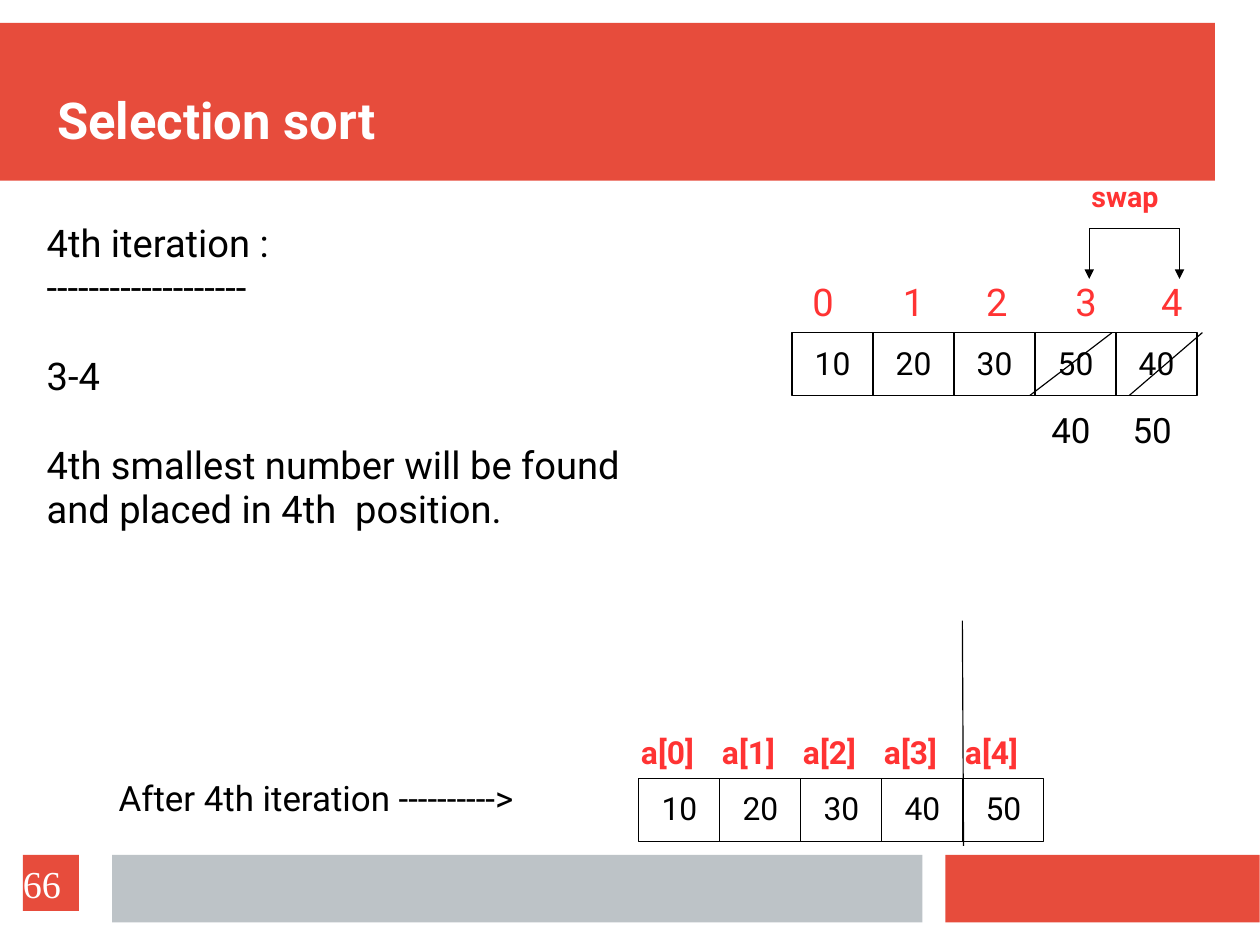
from pptx import Presentation
from pptx.dml.color import RGBColor
from pptx.enum.shapes import MSO_CONNECTOR as CONN, MSO_SHAPE as SHAPE
from pptx.enum.text import MSO_ANCHOR as ANCHOR, PP_ALIGN as ALIGN
from pptx.oxml.ns import qn
from pptx.util import Inches, Pt
from lxml import etree

RED, GREY, LABEL = "E74C3C", "BDC3C7", "FF3333"
BLACK, WHITE = "000000", "FFFFFF"
CM_PER_INCH = 2.54
CELL_W, CELL_H = 1.8 / CM_PER_INCH, 0.55


def rgb(color):
    return RGBColor.from_string(color)


def add_box(x, y, w, h, lines=(), size=20, color=BLACK, bold=False, fill=None,
            outline=False, align=ALIGN.LEFT, anchor=ANCHOR.TOP,
            insets=(0.1, 0.05), font="Roboto", spacing=0.97):
    """Add a filled rectangle or a text box; lines holds (text, space before)."""
    at = [Inches(v) for v in (x, y, w, h)]
    if fill:
        sp = s.shapes.add_shape(SHAPE.RECTANGLE, *at)
        sp.shadow.inherit = False
        sp.fill.solid()
        sp.fill.fore_color.rgb = rgb(fill)
        if outline:
            sp.line.color.rgb = rgb(BLACK)
            sp.line.width = Pt(0.75)
        else:
            sp.line.fill.background()
    else:
        sp = s.shapes.add_textbox(*at)
    tf = sp.text_frame
    tf.word_wrap = True
    tf.vertical_anchor = anchor
    tf.margin_left = tf.margin_right = Inches(insets[0])
    tf.margin_top = tf.margin_bottom = Inches(insets[1])
    for i, (text, before) in enumerate(lines):
        p = tf.add_paragraph() if i else tf.paragraphs[0]
        p.alignment = align
        p.line_spacing = spacing
        if before:
            p.space_before = Pt(before)
        r = p.add_run()
        r.text = text
        r.font.name = font
        r.font.size = Pt(size)
        r.font.bold = bold
        r.font.color.rgb = rgb(color)


# A slide of 28 by 21 cm
prs = Presentation()
prs.slide_width = Inches(28 / CM_PER_INCH)
prs.slide_height = Inches(21 / CM_PER_INCH)
s = prs.slides.add_slide(prs.slide_layouts[6])

# Header and footer bands
for x, y, w, h, fill in [(0, 0.2, 10.63, 1.38, RED),
                         (8.27, 7.48, 2.75, 0.59, RED),
                         (0.98, 7.48, 7.09, 0.59, GREY)]:
    add_box(x, y, w, h, fill=fill)

# Title
add_box(0.5, 0.39, 10.08, 0.93, [("Selection sort", 0)], 32, WHITE, bold=True,
        anchor=ANCHOR.BOTTOM, insets=(0, 0))

# Array cells before and after the iteration
for left, top, values in [(6.93, 2.91, (10, 20, 30, 50, 40)),
                          (5.59, 6.81, (10, 20, 30, 40, 50))]:
    for i, value in enumerate(values):
        add_box(left + i * CELL_W, top, CELL_W, CELL_H, [(str(value), 0)],
                fill=WHITE, outline=True, align=ALIGN.CENTER, anchor=ANCHOR.MIDDLE)

# Index labels above both arrays
for i, x in enumerate([7.01, 7.8, 8.53, 9.31, 10.06]):
    add_box(x, 2.41, 0.41, 0.5, [(str(i), 0)], 24, LABEL)
    add_box(5.51 + i * CELL_W, 6.38, 0.83, 0.43, [(f"a[{i}]", 0)], 20, LABEL, bold=True)

# Explanation
add_box(0.31, 1.89, 5.75, 2.83, [
    ("4th iteration :", 0),
    ("-------------------", 0),
    ("3-4", 28),
    ("4th smallest number will be found", 28),
    ("and placed in 4th  position.", 0),
], 24)
add_box(0.94, 6.77, 4.37, 0.47, [("After 4th iteration ---------->", 0)], 22)

# Swap label and swapped values
add_box(9.45, 1.53, 0.92, 0.4, [("swap", 0)], 18, LABEL, bold=True)
for x, value in [(9.1, "40"), (9.81, "50")]:
    add_box(x, 3.55, 0.59, 0.47, [(value, 0)], 22)

# Swap bracket, sorted-part divider and strike-through lines
for x1, y1, x2, y2, arrow in [(9.53, 2, 10.32, 2, False),
                              (10.32, 2, 10.32, 2.44, True),
                              (9.53, 2, 9.53, 2.44, True),
                              (8.42, 5.43, 8.43, 7.4, False),
                              (9.73, 2.91, 9.01, 3.46, False),
                              (10.52, 2.91, 9.88, 3.46, False)]:
    line = s.shapes.add_connector(CONN.STRAIGHT, Inches(x1), Inches(y1),
                                  Inches(x2), Inches(y2))
    line.line.color.rgb = rgb(BLACK)
    line.line.width = Pt(0.75)
    if arrow:
        etree.SubElement(line.line._get_or_add_ln(), qn("a:tailEnd"), type="triangle")
    etree.SubElement(line._element.spPr, qn("a:effectLst"))

# Slide number
add_box(0.2, 7.48, 0.49, 0.49, [("66", 0)], 24, WHITE, fill=RED, anchor=ANCHOR.MIDDLE,
        insets=(0, 0), font="Times New Roman", spacing=1.0)

prs.save("out.pptx")
